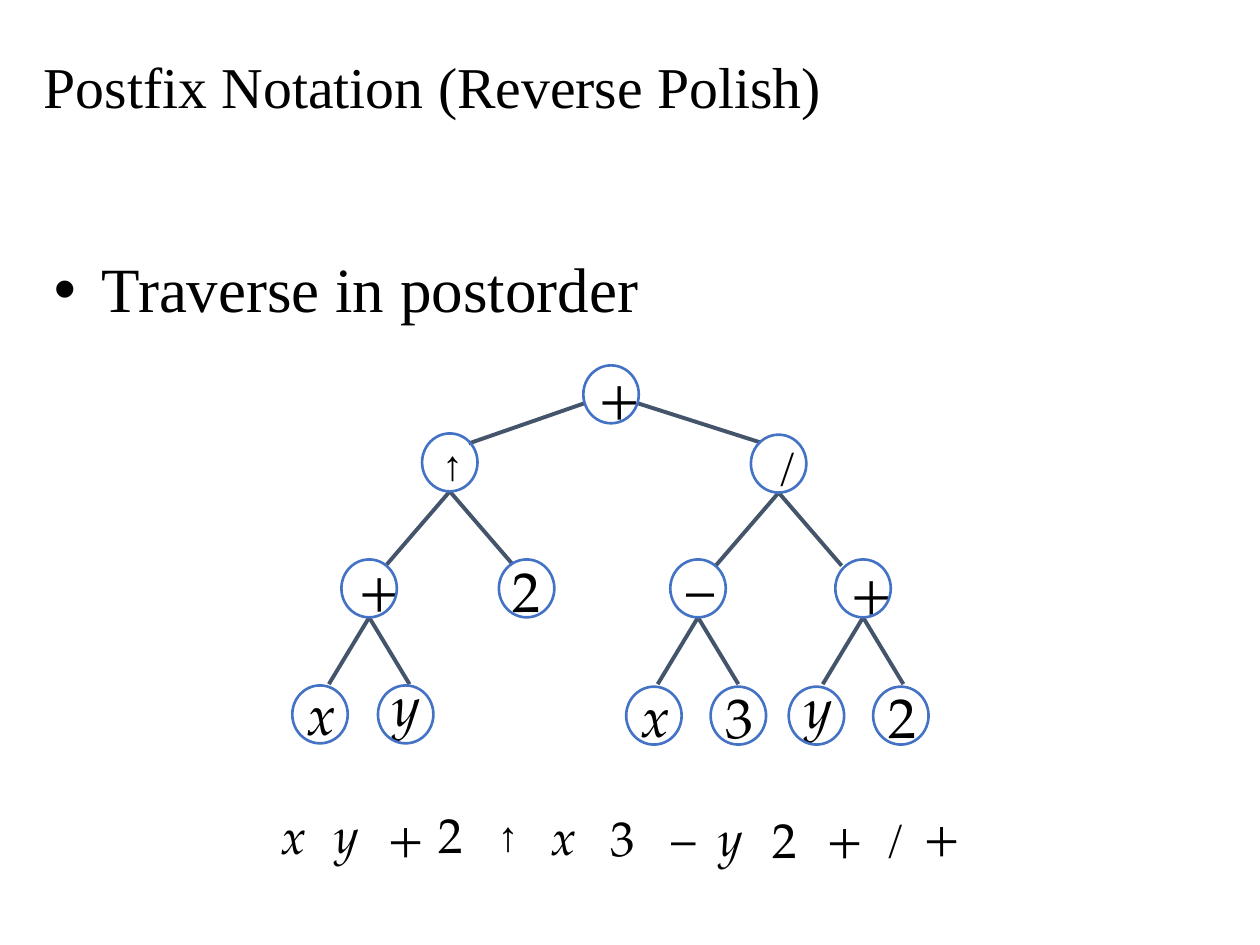
from dataclasses import dataclass
from lxml.etree import SubElement
from pptx import Presentation
from pptx.dml.color import RGBColor
from pptx.enum.shapes import MSO_CONNECTOR, MSO_SHAPE
from pptx.enum.text import MSO_ANCHOR, MSO_AUTO_SIZE, PP_ALIGN
from pptx.oxml.ns import qn
from pptx.util import Inches, Pt


@dataclass(frozen=True)
class Theme:
    """Colours, fonts and type sizes."""
    ink: RGBColor = RGBColor(0, 0, 0)
    ring: RGBColor = RGBColor(0x44, 0x72, 0xC4)
    edge: RGBColor = RGBColor(0x44, 0x54, 0x6A)
    serif: str = "Times New Roman"
    math: str = "TeX Gyre Pagella"
    sans: str = "Arial"
    title: int = 33
    body: int = 36
    node: int = 32
    token: int = 28
    small: int = 24


THEME = Theme()
COLS, ROWS = 100, 75
CELL = Inches(10) // COLS
NODE_W, NODE_H = 4.4, 4.6
GLYPHS = {"+": 0.078, "–": 0.069, "x": 0.075, "y": 0.072,
          "2": 0.078, "3": 0.078, "↑": 0.054, "/": 0.038}
LEVELS = [
    [(23.1, 0, "+", 0.2, -0.8)],
    [(10.3, 5.4, "↑", 0.6, -0.1), (36.4, 5.5, "/", 1.1, -0.2)],
    [(3.9, 15.4, "+", 0.4, -1), (16.4, 15.4, "2", 0.1, -0.7),
     (30, 15.4, "–", 0.3, -1), (43.1, 15.4, "+", 0.2, -0.7)],
    [(0, 25.4, "x", 0.2, -1), (6.8, 25.4, "y", 0.2, -1.7),
     (26.5, 25.5, "x", 0.2, -0.9), (33.2, 25.5, "3", 0.2, -0.8),
     (39.4, 25.5, "y", 0.3, -1.6), (46.1, 25.5, "2", 0.2, -0.8)],
]
FORKS = [(1, 0, 5, 5.8), (1, 1, 5, 5.8),
         (2, 0, 3.2, 5.3), (2, 2, 3.2, 5.3), (2, 3, 3.2, 5.3)]
ARMS = [(23.2, 3, 14, 6.2), (27.4, 3, 37.1, 6.1)]
TOKENS = [
    ("x", 0, 0.1, True), ("y", 4.2, 0, True), ("+", 8.5, 0.2, True),
    ("2", 12.4, 0, False), ("↑", 17.2, 0.4, False), ("x", 21.4, 0.2, True),
    ("3", 26, 0.3, False), ("–", 31, 0.3, False), ("y", 34.7, 0.3, True),
    ("2", 38.9, 0.4, False), ("+", 43.3, 0.3, False), ("/", 48, 0.5, False),
    ("+", 51, 0.1, True),
]


def units(*cells):
    """Turn grid cells into slide lengths."""
    return [round(c * CELL) for c in cells]


def write(host, box, text, face, size, slant=False):
    """Place one line of text and return its frame and paragraph."""
    frame = host.add_textbox(*units(*box)).text_frame
    frame.word_wrap = True
    line = frame.paragraphs[0]
    line.text = text
    font = line.font
    font.name, font.size, font.italic = face, Pt(size), slant
    font.color.rgb = THEME.ink
    return frame, line


def glyph(host, left, top, sign, full, slant):
    """Place a single symbol in a box that fits it."""
    size = THEME.small if sign in "↑/" else full
    face = THEME.sans if sign == "↑" else THEME.math
    box = left, top, 2 + size * GLYPHS[sign], 1 + size * 0.168
    frame, line = write(host, box, sign, face, size, slant)
    frame.word_wrap = False
    frame.auto_size = MSO_AUTO_SIZE.SHAPE_TO_FIT_TEXT
    return frame, line


def title(host, box):
    """Place the slide title."""
    frame, line = write(host, box, "Postfix Notation (Reverse Polish)",
                        THEME.serif, THEME.title)
    frame.vertical_anchor = MSO_ANCHOR.MIDDLE
    line.line_spacing = 0.9


def point(host, box):
    """Place the bulleted statement."""
    frame, line = write(host, box, "", THEME.serif, THEME.body)
    props = line._p.get_or_add_pPr()
    props.set("marL", str(Inches(0.38)))
    props.set("indent", str(-Inches(0.38)))
    mark = SubElement(props, qn("a:buFont"))
    mark.set("typeface", THEME.sans)
    SubElement(props, qn("a:buChar")).set("char", "•")
    props.append(props.find(qn("a:defRPr")))
    line.text = "Traverse in postorder"
    line.line_spacing = 0.9


def branch(host, *ends):
    """Draw one edge of the tree."""
    edge = host.add_connector(MSO_CONNECTOR.STRAIGHT, *units(*ends))
    edge.line.color.rgb = THEME.edge
    edge.line.width = Pt(2.25)
    SubElement(edge._element.spPr, qn("a:effectLst"))


def node(host, left, top, sign, right, down):
    """Draw a ringed symbol, shifted within its ring."""
    glyph(host, left + right, top + down, sign, THEME.node, sign in "xy")
    ring = host.add_shape(MSO_SHAPE.OVAL, *units(left, top, NODE_W, NODE_H))
    ring.shadow.inherit = False
    ring.fill.background()
    ring.line.color.rgb = THEME.ring
    ring.line.width = Pt(1.5)


def tree(host, box):
    """Draw the expression tree from the corner of its box."""
    group = host.add_group_shape().shapes
    left, top = box[:2]
    for x, y, far, low in ARMS:
        branch(group, left + x, top + y, left + far, top + low)
    for level, place, reach, drop in FORKS:
        x, y = LEVELS[level][place][:2]
        x, y = left + x + NODE_W / 2, top + y + NODE_H
        for side in (-1, 1):
            branch(group, x, y, x + side * reach, y + drop)
    for level in LEVELS:
        for x, y, *rest in level:
            node(group, left + x, top + y, *rest)


def result(host, box):
    """Set out the postfix tokens in a row."""
    left, top = box[:2]
    for sign, x, y, slant in TOKENS:
        frame, line = glyph(host, left + x, top + y, sign, THEME.token, slant)
        frame.vertical_anchor = MSO_ANCHOR.MIDDLE
        line.alignment = PP_ALIGN.CENTER


def main():
    """Build and save the slide."""
    deck = Presentation()
    deck.slide_width, deck.slide_height = units(COLS, ROWS)
    host = deck.slides.add_slide(deck.slide_layouts[6]).shapes
    title(host, (2.5, 1.7, 95, 10.8))
    point(host, (3.3, 20, 66, 5.6))
    tree(host, (23.2, 29, 50.5, 30.1))
    result(host, (21.3, 63.3, 55.1, 6.1))
    deck.save("out.pptx")


if __name__ == "__main__":
    main()
